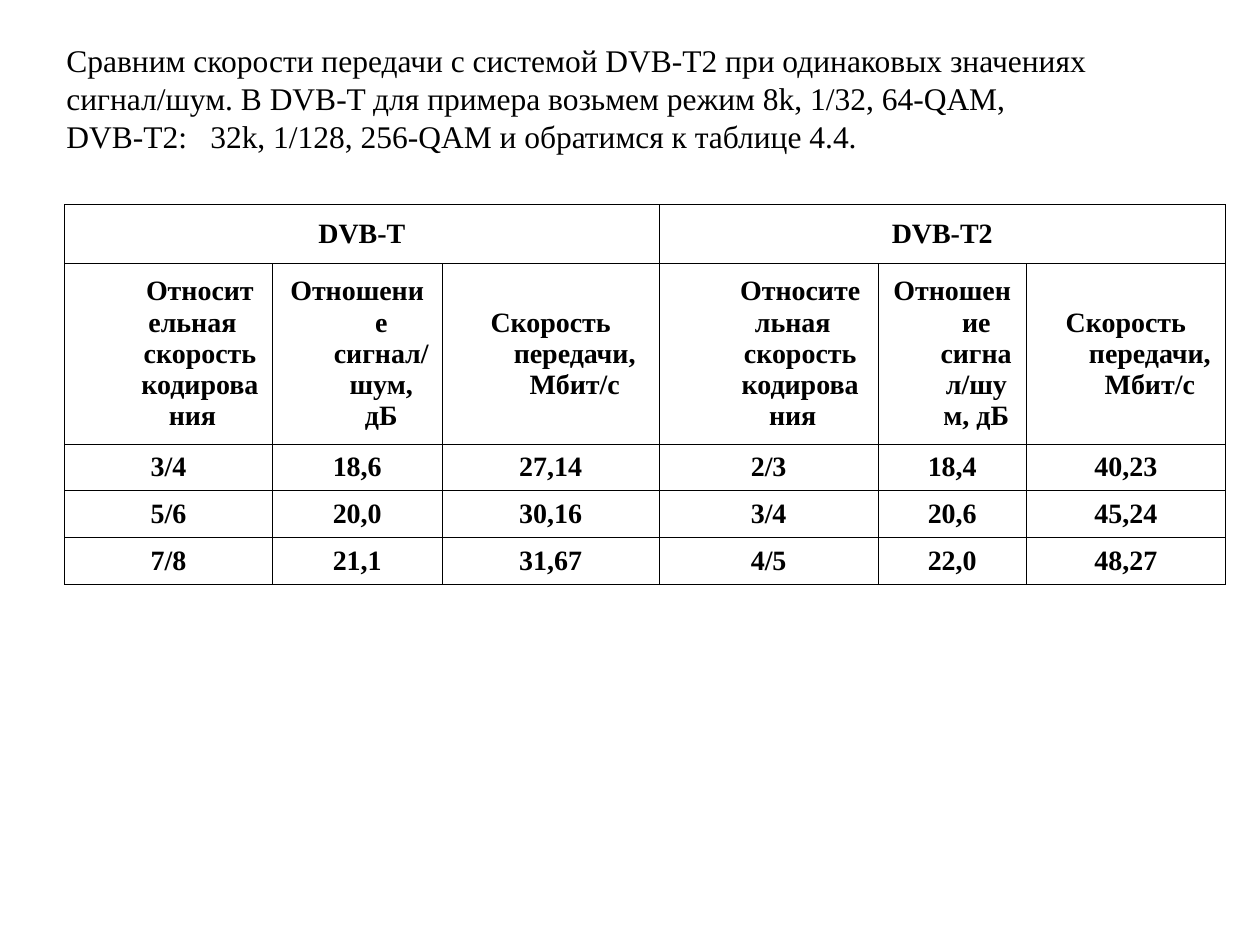
import pptx
import pptx.dml.color
import pptx.enum.text
import pptx.oxml
import pptx.oxml.ns
import pptx.util

Cm = pptx.util.Cm
Pt = pptx.util.Pt

FONT = "Times New Roman"
COLOURS = {"text": "000000", "border": "000000"}
CENTRE = pptx.enum.text.PP_ALIGN.CENTER
MIDDLE = pptx.enum.text.MSO_ANCHOR.MIDDLE

INTRO = [
    "Сравним скорости передачи с системой DVB-T2 при одинаковых значениях "
    "сигнал/шум. В DVB-T для примера возьмем режим 8k, 1/32, 64-QAM,",
    "DVB-T2:\t32k, 1/128, 256-QAM и обратимся к таблице 4.4.",
]

SYSTEMS = ["DVB-T", "DVB-T2"]
HEADINGS = [
    "Относительная\nскорость\nкодирования",
    "Отношение сигнал/шум, дБ",
    "Скорость передачи, Мбит/с",
]
RATES = [
    ["3/4", "18,6", "27,14", "2/3", "18,4", "40,23"],
    ["5/6", "20,0", "30,16", "3/4", "20,6", "45,24"],
    ["7/8", "21,1", "31,67", "4/5", "22,0", "48,27"],
]
COLUMN_WIDTHS = [4.19, 3.42, 4.38, 4.41, 2.99, 4.01]
ROW_HEIGHTS = [1.19, 3.63] + [0.94] * len(RATES)


def style_font(para, size, bold=False):
    para.font.name = FONT
    para.font.size = Pt(size)
    para.font.bold = bold
    para.font.color.rgb = pptx.dml.color.RGBColor.from_string(COLOURS["text"])


def add_tab_stop(para, position):
    nsdecls = pptx.oxml.ns.nsdecls("a")
    para._p.get_or_add_pPr().insert(0, pptx.oxml.parse_xml(
        f'<a:tabLst {nsdecls}><a:tab pos="{position}" algn="l"/></a:tabLst>'))


def indent(para, left, first):
    properties = para._p.get_or_add_pPr()
    properties.set("marL", str(left))
    properties.set("indent", str(first))


def add_borders(cell, width):
    properties = cell._tc.get_or_add_tcPr()
    for side in ("lnL", "lnR", "lnT", "lnB"):
        properties.append(pptx.oxml.parse_xml(
            f'<a:{side} {pptx.oxml.ns.nsdecls("a")} w="{width}"><a:solidFill>'
            f'<a:srgbClr val="{COLOURS["border"]}"/></a:solidFill></a:{side}>'))


def add_intro(page):
    box = page.shapes.add_textbox(Cm(1.09), Cm(0.71), Cm(23.01), Cm(2.54))
    frame = box.text_frame
    frame.word_wrap = True
    frame.vertical_anchor = MIDDLE
    frame.text = "\n".join(INTRO)
    for para in frame.paragraphs:
        style_font(para, 18)
    add_tab_stop(frame.paragraphs[1], Cm(2.9))


def fill_cell(cell, text):
    cell.text = text
    cell.vertical_anchor = MIDDLE
    paras = cell.text_frame.paragraphs
    # Several lines are indented on the first line, single ones hang
    first = Cm(0.3) if len(paras) > 1 else Cm(-0.97)
    for para in paras:
        para.alignment = CENTRE
        indent(para, Cm(0.97), first)
        style_font(para, 16, bold=True)


def add_rate_table(page):
    rows = [
        [text for name in SYSTEMS for text in (name, "", "")],
        HEADINGS * len(SYSTEMS),
        *RATES,
    ]
    table = page.shapes.add_table(
        len(rows), len(COLUMN_WIDTHS), Cm(1.3), Cm(4.12),
        Cm(sum(COLUMN_WIDTHS)), Cm(sum(ROW_HEIGHTS))).table
    table.first_row = False
    table.horz_banding = False
    for column, width in zip(table.columns, COLUMN_WIDTHS):
        column.width = Cm(width)
    for row, height in zip(table.rows, ROW_HEIGHTS):
        row.height = Cm(height)

    # One heading over the three columns of each system
    span = len(HEADINGS)
    for start in range(0, len(COLUMN_WIDTHS), span):
        table.cell(0, start).merge(table.cell(0, start + span - 1))

    for row, texts in zip(table.rows, rows):
        for cell, text in zip(row.cells, texts):
            add_borders(cell, Pt(0.45))
            cell.fill.background()
            if text:
                fill_cell(cell, text)


def main():
    deck = pptx.Presentation()
    deck.slide_width, deck.slide_height = Cm(25.4), Cm(19.05)
    page = deck.slides.add_slide(deck.slide_layouts.get_by_name("Blank"))
    add_intro(page)
    add_rate_table(page)
    deck.save("out.pptx")


if __name__ == "__main__":
    main()
